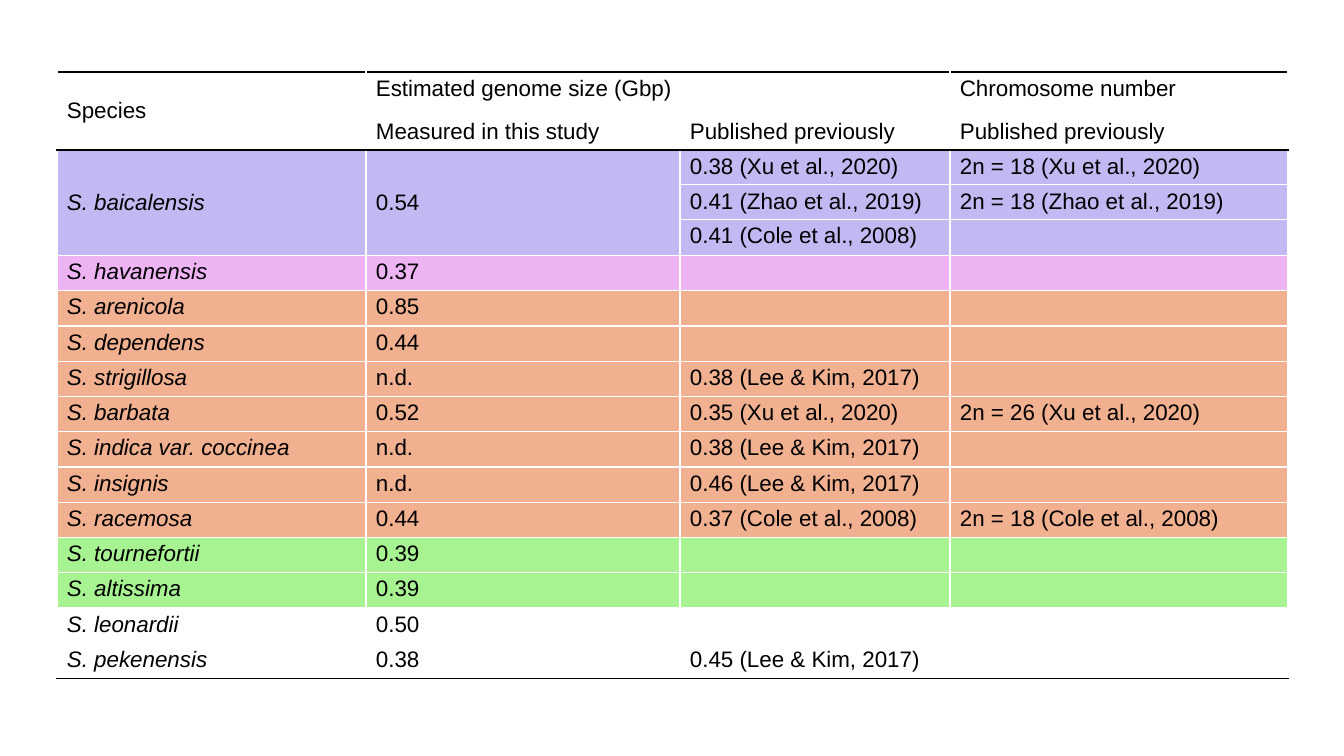
from pptx import Presentation
from pptx.util import Pt
from pptx.dml.color import RGBColor as RGB
from pptx.enum.text import MSO_ANCHOR as Anchor
from lxml.etree import SubElement, Element
from pptx.oxml.ns import qn

SCALE = 914400 / 100.8
COLORS = {"black": "000000", "white": "FFFFFF", "violet": "C3B8F2",
          "pink": "EDB3F3", "orange": "F1B08F", "green": "A8F391"}


def px(length):
    return round(length * SCALE)


def write(cell, text, size=16, italic=False, anchor=Anchor.TOP):
    cell.margin_left = cell.margin_right = px(10)
    cell.margin_top = cell.margin_bottom = px(4)
    cell.vertical_anchor = anchor
    para = cell.text_frame.paragraphs[0]
    if not text:
        # An empty cell still needs the small size, or its row grows
        SubElement(para._p, qn("a:endParaRPr"), sz=str(size * 100))
        return
    span = para.add_run()
    span.text = text
    span.font.name = "Arial"
    span.font.size = Pt(size)
    span.font.italic = italic
    span.font.color.rgb = RGB.from_string(COLORS["black"])


deck = Presentation()
deck.slide_width, deck.slide_height = px(1344), px(756)
page = deck.slides.add_slide(deck.slide_layouts[6])

# Row fill, then species, measured size, published size, chromosome number
rows = [
    (None, "Species", "Estimated genome size (Gbp)", "", "Chromosome number"),
    (None, "", "Measured in this study", "Published previously", "Published previously"),
    ("violet", "S. baicalensis", "0.54", "0.38 (Xu et al., 2020)", "2n = 18 (Xu et al., 2020)"),
    ("violet", "", "", "0.41 (Zhao et al., 2019)", "2n = 18 (Zhao et al., 2019)"),
    ("violet", "", "", "0.41 (Cole et al., 2008)", ""),
    ("pink", "S. havanensis", "0.37", "", ""),
    ("orange", "S. arenicola", "0.85", "", ""),
    ("orange", "S. dependens", "0.44", "", ""),
    ("orange", "S. strigillosa", "n.d.", "0.38 (Lee & Kim, 2017)", ""),
    ("orange", "S. barbata", "0.52", "0.35 (Xu et al., 2020)", "2n = 26 (Xu et al., 2020)"),
    ("orange", "S. indica var. coccinea", "n.d.", "0.38 (Lee & Kim, 2017)", ""),
    ("orange", "S. insignis", "n.d.", "0.46 (Lee & Kim, 2017)", ""),
    ("orange", "S. racemosa", "0.44", "0.37 (Cole et al., 2008)", "2n = 18 (Cole et al., 2008)"),
    ("green", "S. tournefortii", "0.39", "", ""),
    ("green", "S. altissima", "0.39", "", ""),
    (None, "S. leonardii", "0.50", "", ""),
    (None, "S. pekenensis", "0.38", "0.45 (Lee & Kim, 2017)", ""),
]
widths = [309, 314, 270, 338]
heights = [43] + [35] * (len(rows) - 1)
last = len(rows) - 1

# Table grid
table = page.shapes.add_table(len(rows), len(widths), px(57), px(72),
                              px(sum(widths)), px(sum(heights))).table
table.first_row = table.horz_banding = False
for column, width in zip(table.columns, widths):
    column.width = px(width)
for row, height in zip(table.rows, heights):
    row.height = px(height)

# Merged cells: top left and bottom right corners
merges = [((0, 0), (1, 0)), ((0, 1), (0, 2)), ((2, 0), (4, 0)), ((2, 1), (4, 1))]
for start, end in merges:
    table.cell(*start).merge(table.cell(*end))

# Text, fills and borders
for r, (fill, *texts) in enumerate(rows):
    for c, text in enumerate(texts):
        cell = table.cell(r, c)
        tall = cell.is_merge_origin and cell.span_height > 1
        write(cell, text, italic=c == 0 and r > 1,
              anchor=Anchor.MIDDLE if tall else Anchor.TOP)
        if fill:
            cell.fill.solid()
            cell.fill.fore_color.rgb = RGB.from_string(COLORS[fill])
        else:
            cell.fill.background()

        # Black rules frame the header and close the table
        black_top = r in (0, 2)
        black_bottom = r in (1, last) or (r, c) == (0, 0)
        sides = {"L": False, "R": False, "T": black_top, "B": black_bottom}
        properties = cell._tc.get_or_add_tcPr()
        for place, (side, black) in enumerate(sides.items()):
            line = Element(qn(f"a:ln{side}"), w=str(Pt(1)))
            paint = SubElement(line, qn("a:solidFill"))
            SubElement(paint, qn("a:srgbClr"), val=COLORS["black" if black else "white"])
            properties.insert(place, line)

deck.save("out.pptx")
